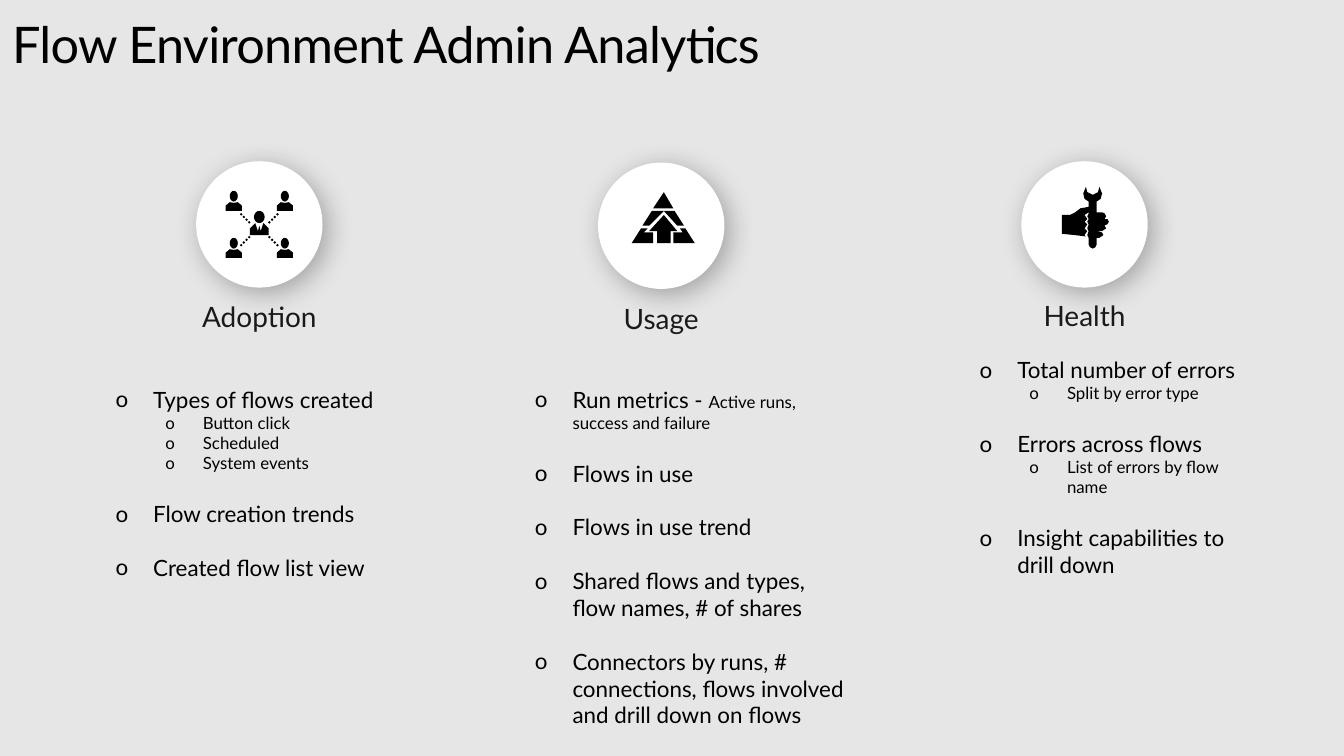
from math import cos, pi, sin

from lxml.etree import SubElement as Sub
from pptx import Presentation
from pptx.dml.color import RGBColor as Rgb
from pptx.enum.shapes import MSO_SHAPE as Kind
from pptx.enum.text import PP_ALIGN as Align
from pptx.oxml.ns import qn
from pptx.util import Inches, Pt

INK = {"page": "E6E6E6", "disc": "FFFFFF", "text": "000000", "label": "1A1A1A"}
FONT = "Lato"

prs = Presentation()
prs.slide_width = Inches(10)
prs.slide_height = prs.slide_width * 9 // 16
slide = prs.slides.add_slide(prs.slide_layouts[6])
slide.background.fill.solid()
slide.background.fill.fore_color.rgb = Rgb.from_string(INK["page"])
# The grid has 1000 square units across the slide's width.
U = prs.slide_width // 1000


def paint(shape, tone):
    shape.shadow.inherit = False
    shape.fill.solid()
    shape.fill.fore_color.rgb = Rgb.from_string(INK[tone])
    shape.line.fill.background()
    return shape


def write(shapes, box, lines, size, tone="text"):
    """Add a text box without margins; return its paragraphs."""
    frame = shapes.add_textbox(*(round(n * U) for n in box)).text_frame
    frame.word_wrap = True
    frame.margin_left = frame.margin_right = 0
    frame.margin_top = frame.margin_bottom = 0
    frame.text = "\n".join(lines)
    for par in frame.paragraphs:
        for run in par.runs:
            run.font.name, run.font.size = FONT, Pt(size)
            run.font.color.rgb = Rgb.from_string(INK[tone])
    return frame.paragraphs


title = write(slide.shapes, (9, 10, 904, 45), ["Flow Environment Admin Analytics"], 27)
title[0].runs[0].font._element.set("spc", "-37")

# Heading, disc left and top, label top
heads = [("Adoption", 146, 120, 223), ("Usage", 445, 121, 224), ("Health", 760, 120, 222)]
SIZE = 94
groups = []
for name, left, top, low in heads:
    shapes = slide.shapes.add_group_shape().shapes
    disc = paint(shapes.add_shape(Kind.OVAL, left * U, top * U, SIZE * U, SIZE * U), "disc")
    glow = Sub(disc._element.spPr.find(qn("a:effectLst")), qn("a:outerShdw"),
               blurRad=str(Pt(15)), dist=str(Pt(4)), dir="2700000",
               algn="ctr", rotWithShape="0")
    Sub(Sub(glow, qn("a:srgbClr"), val=INK["text"]), qn("a:alpha"), val="30000")
    label = write(shapes, (left, low, SIZE, 25), [name], 15, "label")
    label[0].alignment = Align.CENTER
    groups.append(shapes)

# Adoption: four people on dotted lines around one in the middle
MID, ROW = 193, 171
network = [[
    (186, 175), (186, 170), (190, 166), (192, 172), (193, 168),
    (194, 172), (196, 166), (200, 170), (200, 175),
]]
crowd = [(x, y, 3, 4) for x in (174, 212) for y in (146, 181)]
for x, y, wide, tall in crowd + [(MID, 161.5, 4, 4.5)]:
    turns = [pi * n / 8 for n in range(16)]
    network.append([(x + wide * cos(t), y + tall * sin(t)) for t in turns])
for x, y, _, _ in crowd:
    side = [(-6, 11), (-6, 7), (-3, 4.5), (0, 5), (3, 4.5), (6, 7), (6, 11)]
    network.append([(x + dx, y + dy) for dx, dy in side])
for dx in (-1, 1):
    for dy in (-1, 1):
        for step in range(4):
            x, y = MID + dx * (7.5 + 2 * step), ROW + dy * (5.5 + 2 * step)
            network.append([(x - 1, y), (x, y - 1), (x + 1, y), (x, y + 1)])

# Usage: pyramid with an arrow
pyramid = [
    [(486, 173), (486, 181), (470, 181), (477, 170), (482, 170), (479, 173)],
    [(508, 173), (501, 173), (501, 181), (517, 181), (510, 170), (506, 170)],
    [(494, 157), (504, 168), (509, 168), (502, 157), (485, 157), (478, 168), (483, 168)],
    [(494, 143), (486, 155), (501, 155)],
    [(494, 160), (483, 172), (489, 172), (489, 181), (499, 181), (499, 172), (504, 172)],
]

# Health: fist holding a wrench
wrench = [[
    (821, 168), (824, 167), (825, 165), (824, 163), (822, 163), (823, 161), (822, 159),
    (820, 158), (816, 158), (816, 150), (819, 148), (820, 144), (818, 139), (817, 143),
    (813, 145), (809, 143), (808, 139), (806, 144), (807, 148), (810, 150), (810, 154),
    (804, 155), (800, 158), (796, 160), (790, 160), (790, 174), (800, 175), (808, 176),
    (807, 175), (809, 172), (807, 170), (809, 167), (807, 165), (809, 163), (807, 160),
    (810, 158), (810, 159), (809, 161), (810, 163), (809, 165), (810, 167), (809, 170),
    (810, 172), (809, 175), (810, 177), (810, 182), (811, 184), (813, 185), (815, 184),
    (816, 182), (816, 177), (818, 177), (821, 175), (820, 173), (816, 172), (820, 172),
    (823, 170), (822, 168), (816, 168),
]]
FINE = 10
for shapes, loops in zip(groups, (network, pyramid, wrench)):
    loops = [[(x * FINE, y * FINE) for x, y in loop] for loop in loops]
    pen = shapes.build_freeform(*loops[0][0], scale=U / FINE)
    for loop in loops:
        if loop is not loops[0]:
            pen.move_to(*loop[0])
        pen.add_line_segments(loop[1:], close=True)
    paint(pen.convert_to_shape(), "text")

# Each list item: level, text, whether a gap comes before it
lists = [
    ((48, 287, 269, 167), [
        (1, "Types of flows created", False), (2, "Button click", False),
        (2, "Scheduled", False), (2, "System events", False),
        (1, "Flow creation trends", True), (1, "Created flow list view", True)]),
    ((691, 265, 233, 187), [
        (1, "Total number of errors", False), (2, "Split by error type", False),
        (1, "Errors across flows", True), (2, "List of errors by flow name", False),
        (1, "Insight capabilities to drill down", True)]),
    ((360, 287, 269, 257), [
        (1, "Run metrics - ", False), (1, "Flows in use", True),
        (1, "Flows in use trend", True),
        (1, "Shared flows and types, flow names, # of shares", True),
        (1, "Connectors by runs, # connections, flows involved and drill down on flows", True)]),
]
for box, items in lists:
    pars = write(slide.shapes, box, [item[1] for item in items], 12)
    for par, (level, words, gap) in zip(pars, items):
        par.level = level
        props = par._p.get_or_add_pPr()
        props.set("marL", str((66 if level == 1 else 103) * U))
        props.set("indent", str(-28 * U))
        Sub(props, qn("a:buFont"), typeface=FONT)
        Sub(props, qn("a:buChar"), char="o")
        if gap:
            par.space_before = Pt(14.4)
        if level == 2:
            par.runs[0].font.size = Pt(9)
        if words.endswith("- "):
            note = par.add_run()
            note.text = "Active runs, success and failure"
            note.font.name, note.font.size = FONT, Pt(9)
            note.font.color.rgb = Rgb.from_string(INK["text"])

prs.save("out.pptx")
